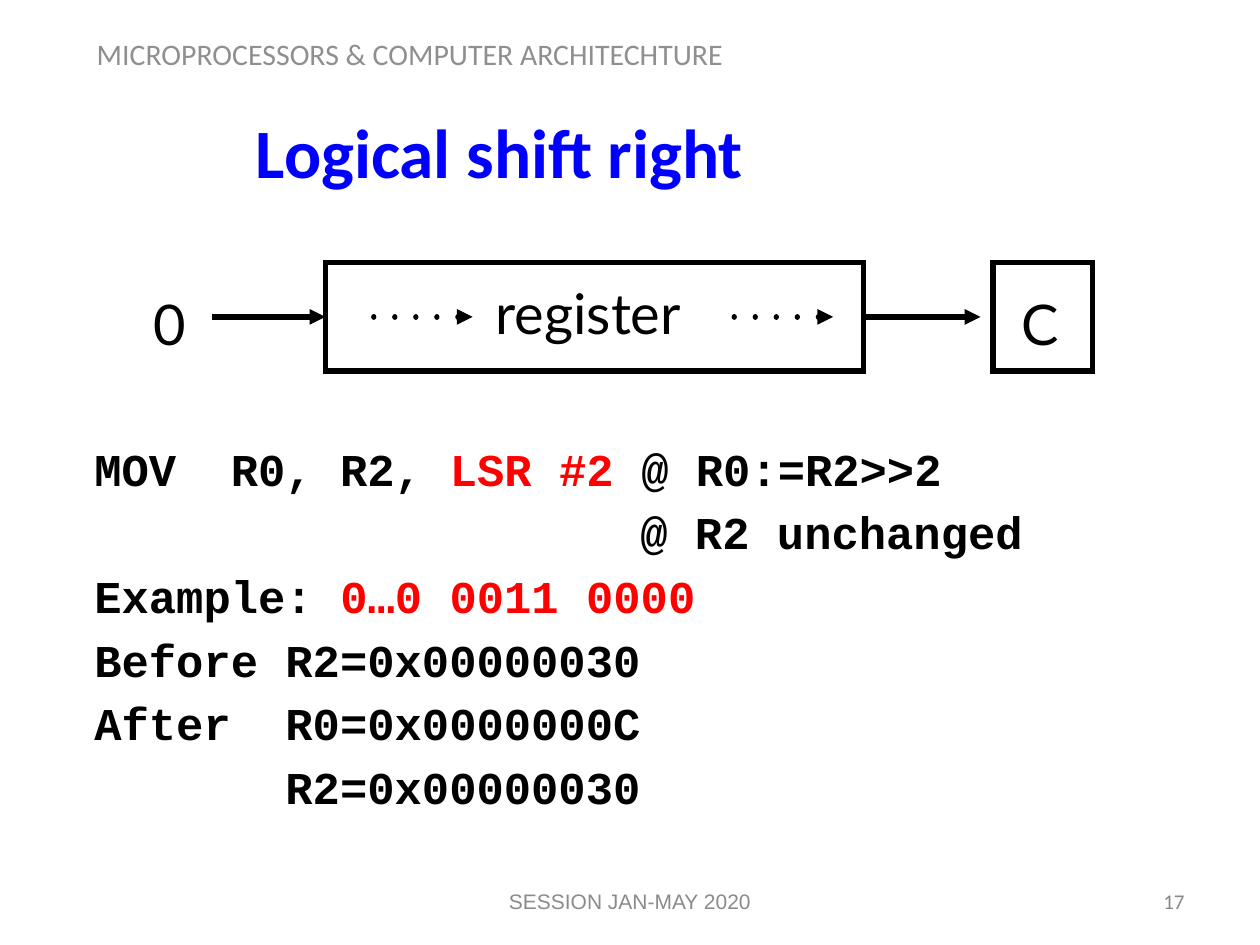
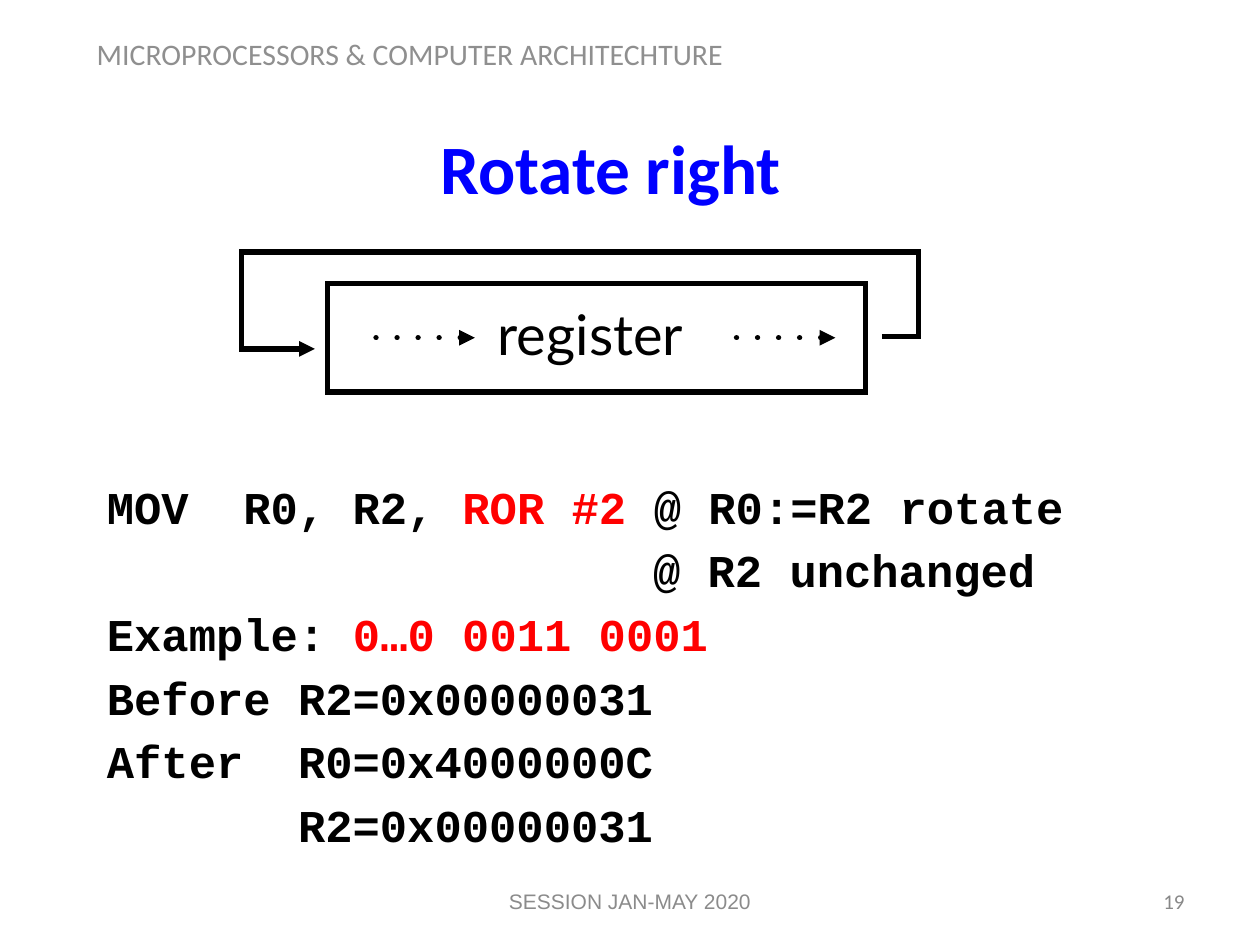
import pptx
import pptx.dml.color
import pptx.enum.shapes
import pptx.enum.text
import pptx.oxml.ns
import pptx.util
from lxml import etree

Pt = pptx.util.Pt
SHAPE = pptx.enum.shapes.MSO_SHAPE
ALIGN = pptx.enum.text.PP_ALIGN
ANCHOR = pptx.enum.text.MSO_ANCHOR

COLOURS = {
    "ink": "000000",
    "title": "0000FF",
    "accent": "FF0000",
    "paper": "FFFFFF",
    "number": "888888",
    "footer": "8B8B8B",
}
FONTS = {
    "header": {"name": "Calibri", "size": Pt(17)},
    "title": {"name": "Calibri", "size": Pt(39.6), "bold": True},
    "code": {"name": "Courier New", "size": Pt(26), "bold": True},
    "label": {"name": "Lato", "size": Pt(32)},
    "number": {"name": "Calibri", "size": Pt(12)},
    "footer": {"name": "Arial", "size": Pt(12)},
}
LINE_WIDTH = 3
REGISTER_WIDTH, REGISTER_HEIGHT = 307.4, 62


def rgb(colour):
    return pptx.dml.color.RGBColor.from_string(COLOURS[colour])


def set_attributes(target, values):
    for name, value in values.items():
        setattr(target, name, value)


def add_element(parent, tag, **attributes):
    etree.SubElement(parent, pptx.oxml.ns.qn(tag), **attributes)


def add_run(paragraph, text, font, colour):
    run = paragraph.add_run()
    run.text = text
    set_attributes(run.font, FONTS[font])
    run.font.color.rgb = rgb(colour)


def set_frame(frame, anchor=ANCHOR.TOP, side=7.2, edge=3.6):
    set_attributes(frame, {
        "word_wrap": True, "vertical_anchor": anchor,
        "margin_left": Pt(side), "margin_right": Pt(side),
        "margin_top": Pt(edge), "margin_bottom": Pt(edge),
    })


def add_text(slide, box, text, font, colour, align=ALIGN.LEFT, **frame_values):
    frame = slide.shapes.add_textbox(*map(Pt, box)).text_frame
    set_frame(frame, **frame_values)
    frame.paragraphs[0].alignment = align
    add_run(frame.paragraphs[0], text, font, colour)


def add_label(slide, left, top, width, text):
    add_text(slide, (left, top, width, 47.5), text, "label", "ink", side=8.6, edge=4.3)


def style_line(line, dotted=False, arrow=None):
    """Mitred line; arrow names the end that carries the arrowhead."""
    line.color.rgb = rgb("ink")
    line.width = Pt(LINE_WIDTH)
    element = line._get_or_add_ln()
    if dotted:
        element.set("cap", "rnd")
        add_element(element, "a:prstDash", val="dot")
    add_element(element, "a:miter", lim="800000")
    if arrow:
        add_element(element, arrow, type="triangle")


def add_rectangle(slide, left, top, width, height):
    shape = slide.shapes.add_shape(SHAPE.RECTANGLE, *map(Pt, (left, top, width, height)))
    shape.shadow.inherit = False
    shape.fill.background()
    style_line(shape.line)
    return shape


def add_arrow(slide, start, end, y, dotted=False, arrow="a:tailEnd"):
    connector = slide.shapes.add_connector(
        pptx.enum.shapes.MSO_CONNECTOR.STRAIGHT, Pt(start), Pt(y), Pt(end), Pt(y))
    style_line(connector.line, dotted, arrow)
    add_element(connector._element.spPr, "a:effectLst")
    return connector


def add_header(slide):
    """Course name, softened by a translucent white band."""
    add_text(slide, (48.2, 17, 471.6, 28.8),
             "MICROPROCESSORS & COMPUTER ARCHITECHTURE", "header", "ink")
    band = add_rectangle(slide, 40.3, 10.8, 499, 28.8)
    band.fill.solid()
    band.fill.fore_color.rgb = rgb("paper")
    colour = band._element.spPr.find(".//" + pptx.oxml.ns.qn("a:srgbClr"))
    add_element(colour, "a:alpha", val="56000")
    band.line.color.rgb = rgb("paper")
    band.line.width = Pt(2)


def add_footer(slide, number):
    add_text(slide, (516.2, 500.4, 167.8, 28.8), number, "number", "number",
             ALIGN.RIGHT, anchor=ANCHOR.MIDDLE)
    add_text(slide, (238.7, 500.4, 242.6, 28.8), "SESSION JAN-MAY 2020",
             "footer", "footer", ALIGN.CENTER, anchor=ANCHOR.MIDDLE)


def set_title(slide, box, text):
    title = slide.shapes.title
    set_attributes(title, dict(zip(("left", "top", "width", "height"), map(Pt, box))))
    set_frame(title.text_frame, ANCHOR.MIDDLE)
    title.text_frame.auto_size = pptx.enum.text.MSO_AUTO_SIZE.NONE
    paragraph = title.text_frame.paragraphs[0]
    paragraph.alignment = ALIGN.CENTER
    add_run(paragraph, text, "title", "title")


def add_code(slide, box, lines):
    """Each line is a list of (text, colour) runs."""
    frame = slide.shapes.add_textbox(*map(Pt, box)).text_frame
    set_frame(frame)
    for index, runs in enumerate(lines):
        paragraph = frame.add_paragraph() if index else frame.paragraphs[0]
        if index:
            paragraph.space_before = Pt(5.2)
        for text, colour in runs:
            add_run(paragraph, text, "code", colour)


def code_lines(operation, result, bits, before, after):
    return [
        [("MOV  R0, R2, ", "ink"), (operation + " ", "accent"), ("@ R0:=" + result, "ink")],
        [("                    @ R2 unchanged", "ink")],
        [("Example: ", "ink"), (bits, "accent")],
        [("Before R2=" + before, "ink")],
        [("After  R0=" + after, "ink")],
        [("       R2=" + before, "ink")],
    ]


def add_register(slide, left, top):
    """Register box with a dotted arrow on each side of its label."""
    for offset in (19.4, 225.4):
        add_arrow(slide, left + offset + 64.8, left + offset,
                  top + REGISTER_HEIGHT / 2, dotted=True, arrow="a:headEnd")
    register = add_rectangle(slide, left, top, REGISTER_WIDTH, REGISTER_HEIGHT)
    add_label(slide, left + 88.6, top + 5, 150, "register")
    return register


def add_shift_diagram(slide, left, top):
    """Zero enters the register; the last bit leaves into the carry."""
    middle = top + REGISTER_HEIGHT / 2
    register_left = left + 107
    register_right = register_left + REGISTER_WIDTH
    register = add_register(slide, register_left, top)
    add_label(slide, left, top + 10.8, 34.6, "0")
    add_arrow(slide, left + 42.2, register_left, middle).end_connect(register, 1)
    add_arrow(slide, register_right, register_right + 67, middle).begin_connect(register, 3)
    carry_left = register_right + 74.2
    add_rectangle(slide, carry_left, top, 56.9, REGISTER_HEIGHT)
    add_label(slide, carry_left + 7.6, top + 10.8, 36.7, "C")


def add_rotate_diagram(slide, left, top):
    """A loop carries the last bit back to the front of the register."""
    points = [(365.8, 48.2), (386.6, 48.2), (386.6, 0), (0, 0), (0, 55.4), (41.8, 55.4)]
    corners = [(Pt(left + x), Pt(top + y)) for x, y in points]
    builder = slide.shapes.build_freeform(*corners[0])
    builder.add_line_segments(corners[1:], close=False)
    loop = builder.convert_to_shape()
    loop.shadow.inherit = False
    loop.fill.background()
    style_line(loop.line, arrow="a:tailEnd")
    add_register(slide, left + 49, top + 18)


def add_slide(presentation, title, title_box, number, code, code_box, diagram, origin):
    slide = presentation.slides.add_slide(presentation.slide_layouts[5])
    add_header(slide)
    set_title(slide, title_box, title)
    add_code(slide, code_box, code)
    diagram(slide, *origin)
    add_footer(slide, number)


def main():
    presentation = pptx.Presentation()
    presentation.slide_width, presentation.slide_height = Pt(720), Pt(540)
    # Logical shift
    add_slide(
        presentation, "Logical shift right", (18, 63.4, 535, 45.4), "17",
        code_lines("LSR #2", "R2>>2", "0…0 0011 0000", "0x00000030", "0x0000000C"),
        (46.8, 248.4, 637.2, 290.9), add_shift_diagram, (78.9, 150.1))
    # Rotation
    add_slide(
        presentation, "Rotate right", (94.1, 71.3, 509.8, 47.5), "19",
        code_lines("ROR #2", "R2 rotate", "0…0 0011 0001", "0x00000031", "0x4000000C"),
        (54, 270, 651.6, 230.4), add_rotate_diagram, (138.2, 144))
    presentation.save("out.pptx")


if __name__ == "__main__":
    main()
